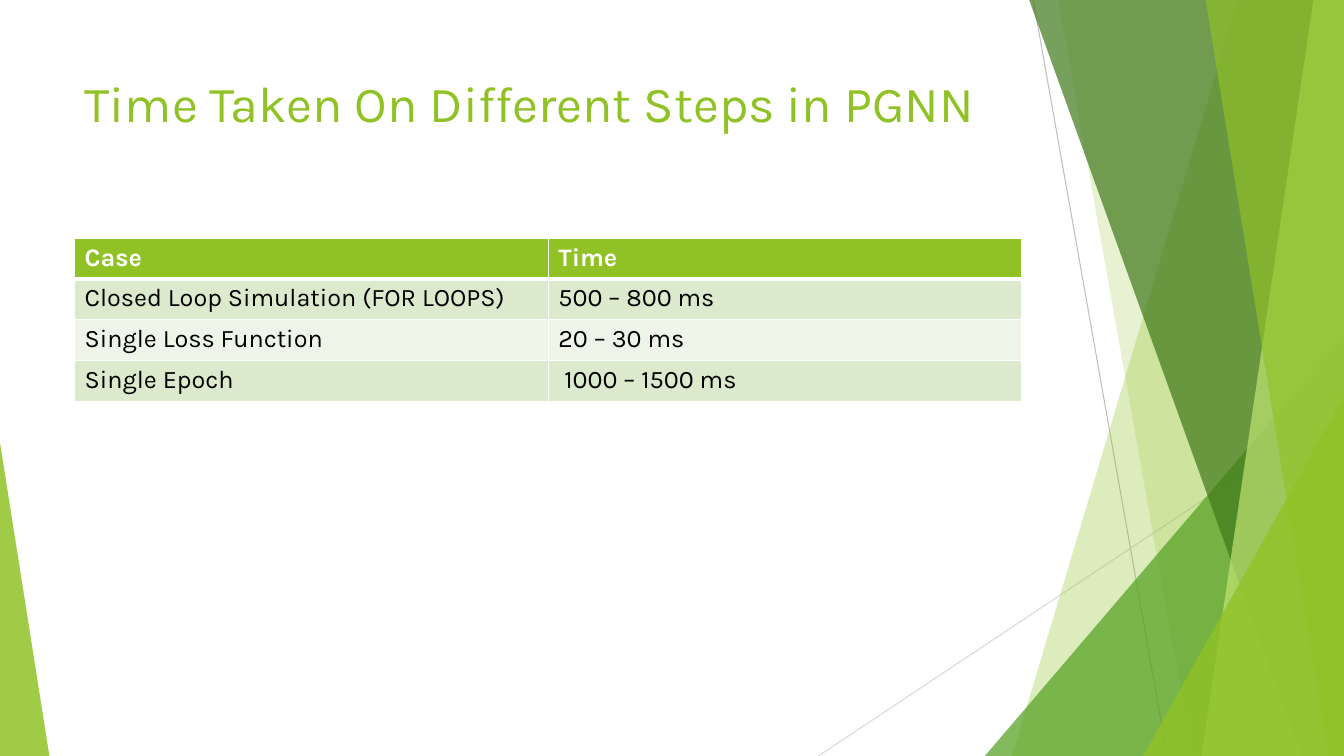
import pptx
import pptx.util
from lxml import etree
from pptx.dml.color import RGBColor
from pptx.enum.shapes import MSO_CONNECTOR, MSO_SHAPE
from pptx.enum.text import MSO_ANCHOR, PP_ALIGN
from pptx.oxml.ns import qn

WIDTH, HEIGHT = pptx.util.Inches(13.333), pptx.util.Inches(7.5)
LIME = RGBColor(0x90, 0xC2, 0x26)
PALE_LIME = RGBColor(0xC0, 0xE4, 0x74)
GREEN = RGBColor(0x54, 0xA0, 0x21)
DARK_GREEN = RGBColor(0x3F, 0x78, 0x19)
BAND_DARK = RGBColor(0xDB, 0xE9, 0xCD)
BAND_LIGHT = RGBColor(0xEE, 0xF4, 0xE8)
GREY = RGBColor(0xBF, 0xBF, 0xBF)
LIGHT_GREY = RGBColor(0xD9, 0xD9, 0xD9)
WHITE = RGBColor(0xFF, 0xFF, 0xFF)
BLACK = RGBColor(0, 0, 0)

TIMES = [
    ("Case", "Time"),
    ("Closed Loop Simulation (FOR LOOPS)", "500 – 800 ms"),
    ("Single Loss Function", "20 – 30 ms"),
    ("Single Epoch", " 1000 – 1500 ms"),
]


def across(percent):
    return round(WIDTH * percent / 100)


def down(percent):
    return round(HEIGHT * percent / 100)


def format_text(text_frame, color, **font_values):
    for paragraph in text_frame.paragraphs:
        paragraph.alignment = PP_ALIGN.LEFT
        for run in paragraph.runs:
            run.font.color.rgb = color
            for attribute, value in {"name": "Karla", **font_values}.items():
                setattr(run.font, attribute, value)


def tint(facet, color, opacity):
    """Fill a facet with a see-through colour; opacity is in percent."""
    facet.shadow.inherit = False
    facet.line.fill.background()
    facet.fill.solid()
    facet.fill.fore_color.rgb = color
    srgb = facet.fill._xPr.find(qn("a:solidFill"))[0]
    etree.SubElement(srgb, qn("a:alpha"), val=str(opacity * 1000))


def add_ray(slide, start, end, color):
    ray = slide.shapes.add_connector(
        MSO_CONNECTOR.STRAIGHT, across(start[0]), down(start[1]),
        across(end[0]), down(end[1]))
    ray.line.color.rgb = color
    ray.line.width = pptx.util.Pt(0.75)
    etree.SubElement(ray._element.spPr, qn("a:effectLst"))


def add_band(slide, top_x, bottom_x, color, opacity):
    """Draw a full-height facet from a slanted edge to the right of the slide."""
    outline = slide.shapes.build_freeform(across(top_x), 0)
    outline.add_line_segments(
        [(WIDTH, 0), (WIDTH, HEIGHT), (across(bottom_x), HEIGHT)], close=True)
    tint(outline.convert_to_shape(), color, opacity)


def add_corner(slide, left, right, top, apex, color, opacity):
    """Draw a right triangle on the bottom edge; apex is 0 for left, 1 for right."""
    corner = slide.shapes.add_shape(
        MSO_SHAPE.ISOSCELES_TRIANGLE, across(left), down(top),
        across(right - left), down(100 - top))
    corner.adjustments[0] = apex
    tint(corner, color, opacity)


def add_facets(slide):
    add_ray(slide, (76.88, 0), (86.85, 100), GREY)
    add_ray(slide, (100, 53.73), (60.9, 100), LIGHT_GREY)
    add_band(slide, 92.1, 75.3, LIME, 30)
    add_band(slide, 78.75, 88.73, LIME, 20)
    add_corner(slide, 73.28, 100, 44.4, 1, GREEN, 72)
    add_band(slide, 76.58, 96.83, DARK_GREEN, 70)
    add_band(slide, 97.73, 89.4, PALE_LIME, 70)
    add_band(slide, 89.7, 98.85, LIME, 65)
    add_corner(slide, 85.05, 100, 52.4, 1, LIME, 80)
    add_corner(slide, 0, 3.68, 58.53, 0, LIME, 85)


def set_title(slide, wording):
    title = slide.shapes.title
    place = {"left": across(5.55), "top": down(8.93),
             "width": across(70.5), "height": down(19.2)}
    for attribute, value in place.items():
        setattr(title, attribute, value)
    title.text_frame.text = wording
    title.text_frame.vertical_anchor = MSO_ANCHOR.TOP
    format_text(title.text_frame, LIME, size=pptx.util.Pt(36))


def add_borders(cell, widths):
    """Give a cell white borders, with widths in points by side."""
    properties = cell._tc.get_or_add_tcPr()
    for side, width in widths.items():
        border = etree.SubElement(
            properties, qn(f"a:ln{side}"), w=str(pptx.util.Pt(width)))
        fill = etree.SubElement(border, qn("a:solidFill"))
        etree.SubElement(fill, qn("a:srgbClr"), val=str(WHITE))


def add_times_table(slide):
    table = slide.shapes.add_table(
        len(TIMES), len(TIMES[0]), across(5.55), down(31.47),
        across(70.5), down(21.6)).table
    table.horz_banding = False
    for row, entries in enumerate(TIMES):
        header = row == 0
        band = LIME if header else (BAND_LIGHT, BAND_DARK)[row % 2]
        for column, entry in enumerate(entries):
            cell = table.cell(row, column)
            cell.text = entry
            format_text(cell.text_frame, WHITE if header else BLACK,
                        size=pptx.util.Pt(18), bold=header)
            add_borders(cell, {"L": 1, "R": 1, "T": 3 if row == 1 else 1,
                               "B": 3 if header else 1})
            cell.fill.solid()
            cell.fill.fore_color.rgb = band


def main():
    deck = pptx.Presentation()
    deck.slide_width, deck.slide_height = WIDTH, HEIGHT
    slide = deck.slides.add_slide(deck.slide_layouts.get_by_name("Title Only"))
    add_facets(slide)
    set_title(slide, "Time Taken On Different Steps in PGNN")
    add_times_table(slide)
    deck.save("out.pptx")


if __name__ == "__main__":
    main()
